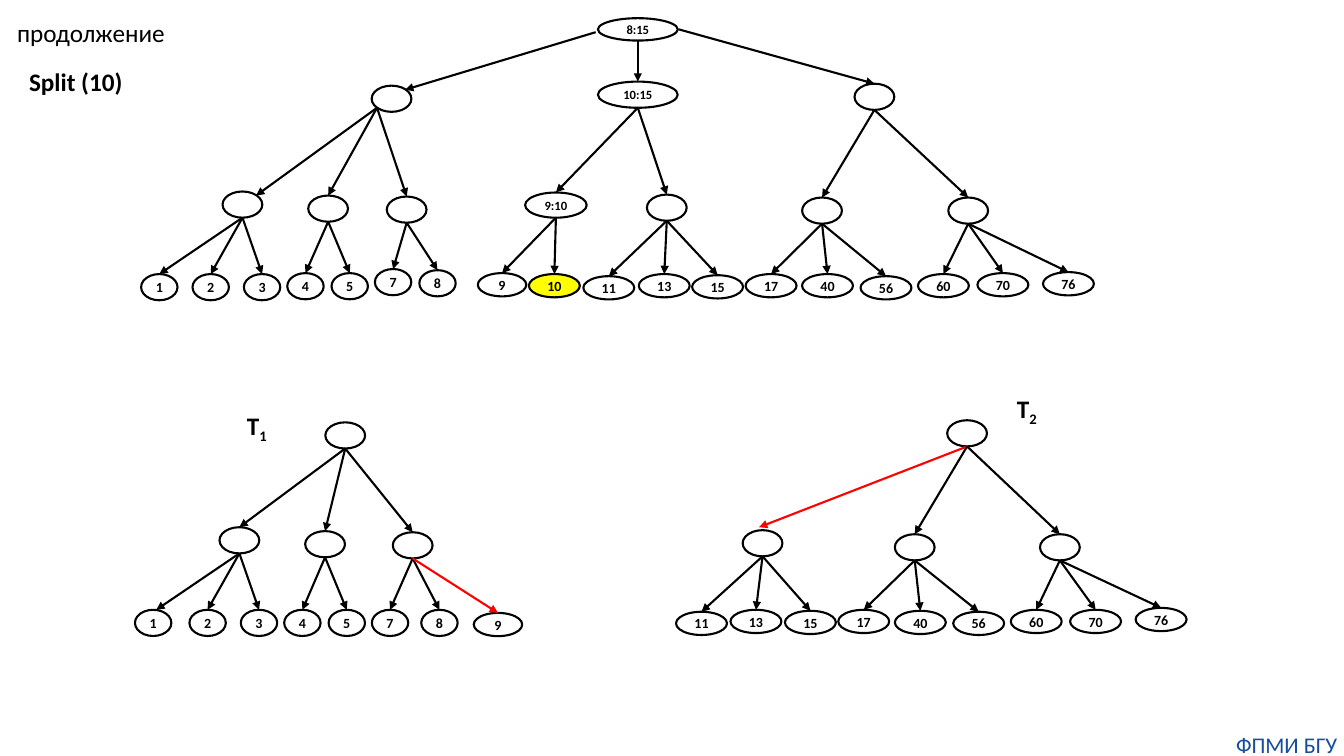
from dataclasses import dataclass

from lxml.etree import SubElement
from pptx import Presentation
from pptx.dml.color import RGBColor
from pptx.enum.shapes import MSO_CONNECTOR, MSO_SHAPE
from pptx.enum.text import MSO_ANCHOR, MSO_AUTO_SIZE, PP_ALIGN
from pptx.oxml.ns import qn
from pptx.util import Pt


@dataclass
class Node:
    style: str
    centre: float
    top: float
    label: str = ""
    children: tuple = ()
    edge: str = "black"
    start: tuple = ()
    end: tuple = ()
    fill: str = ""


COLORS = {"black": "000000", "red": "FF0000", "yellow": "FFFF00", "blue": "144E9D"}
FONT = "Calibri"
STYLES = {
    "root": (57, 16, 9),
    "wide": (57, 18.7, 9),
    "pair": (44, 18, 9),
    "inner": (28.4, 18.7, 9),
    "small": (26, 18.7, 10),
    "nine": (34.6, 16.6, 10),
    "leaf": (36.4, 16.6, 10),
}

TREES = [
    Node("root", 455.6, 13, "8:15", (
        Node("inner", 279.7, 61.2, start=(425.5, 23), end=(289.4, 64.1), children=(
            Node("inner", 173.2, 136.8, start=(269.3, 77), end=(182.9, 139.7), children=(
                Node("small", 113.8, 195.8, "1"),
                Node("small", 150.5, 195.8, "2"),
                Node("small", 187.2, 195.8, "3"))),
            Node("inner", 234.4, 139.7, start=(269.3, 77), children=(
                Node("small", 218.2, 195.1, "4"),
                Node("small", 249.8, 195.1, "5"))),
            Node("inner", 290.5, 140.4, start=(269.3, 77), children=(
                Node("small", 280.8, 192.2, "7"),
                Node("small", 312.5, 193, "8"))))),
        Node("wide", 455.6, 58.3, "10:15", (
            Node("pair", 397.1, 137.5, "9:10", (
                Node("nine", 358.6, 195.1, "9"),
                Node("leaf", 396, 195.8, "10", fill="yellow"))),
            Node("inner", 476.3, 139, children=(
                Node("leaf", 434.9, 197.3, "11"),
                Node("leaf", 474.5, 195.8, "13"),
                Node("leaf", 512.6, 196.6, "15"))))),
        Node("inner", 624.6, 59.8, start=(484.6, 20.9), children=(
            Node("inner", 587.2, 141.1, children=(
                Node("leaf", 550.8, 195.8, "17"),
                Node("leaf", 591.1, 195.8, "40"),
                Node("leaf", 632.9, 197.3, "56"))),
            Node("inner", 691.6, 141.1, children=(
                Node("leaf", 673.9, 195.8, "60"),
                Node("leaf", 716.4, 195.1, "70"),
                Node("leaf", 763.2, 194.4, "76"))))))),
    Node("inner", 246.6, 301.7, children=(
        Node("inner", 171, 376.6, children=(
            Node("small", 109.4, 435.6, "1", end=(111.6, 435.6)),
            Node("small", 148.3, 435.6, "2"),
            Node("small", 185, 435.6, "3"))),
        Node("inner", 232.2, 379.4, children=(
            Node("small", 216, 435.6, "4"),
            Node("small", 247.7, 435.6, "5"))),
        Node("inner", 294.8, 380.2, children=(
            Node("small", 278.6, 435.6, "7"),
            Node("small", 313.9, 435.6, "8"),
            Node("nine", 355.7, 437.8, "9", edge="red"))))),
    Node("inner", 690.8, 300.2, children=(
        Node("inner", 544.7, 378.7, edge="red", end=(542.2, 376.6), children=(
            Node("leaf", 501.1, 437, "11"),
            Node("leaf", 540, 435.6, "13"),
            Node("leaf", 578.9, 436.3, "15"))),
        Node("inner", 653.4, 381.6, children=(
            Node("leaf", 617, 435.6, "17"),
            Node("leaf", 657.4, 436.3, "40"),
            Node("leaf", 699.1, 437, "56"))),
        Node("inner", 757.1, 381.6, children=(
            Node("leaf", 740.2, 435.6, "60"),
            Node("leaf", 782.6, 435.6, "70"),
            Node("leaf", 829.4, 434.2, "76"))))),
]

TITLE = ("продолжение", "", (5, 8.6, 121, 28.8))
CAPTIONS = [
    ("Split (10)", "", (13.7, 43.9, 82, 28.8)),
    ("T", "1", (169.2, 289.4, 29.5, 28.8)),
    ("T", "2", (719.3, 277.2, 33.8, 28.8)),
]
FOOTER = ("ФПМИ БГУ", "", (878.4, 522, 81.4, 19.4))


def color(name):
    return RGBColor.from_string(COLORS[name])


def write(shape, text, size, bold=True, ink="black", subscript="",
          align=PP_ALIGN.LEFT, anchor=MSO_ANCHOR.TOP, inset=(0, 0)):
    frame = shape.text_frame
    horizontal, vertical = map(Pt, inset)
    frame_format = {
        "word_wrap": False, "auto_size": MSO_AUTO_SIZE.NONE, "vertical_anchor": anchor,
        "margin_left": horizontal, "margin_right": horizontal,
        "margin_top": vertical, "margin_bottom": vertical,
    }
    for name, value in frame_format.items():
        setattr(frame, name, value)
    paragraph = frame.paragraphs[0]
    paragraph.alignment = align
    for part in filter(None, (text, subscript)):
        run = paragraph.add_run()
        run.text = part
        for name, value in {"name": FONT, "size": Pt(size), "bold": bold}.items():
            setattr(run.font, name, value)
        run.font.color.rgb = color(ink)
    if subscript:
        run.font._element.set("baseline", "-25000")


def draw_edge(slide, start, end, ink, child=None):
    arrow = slide.shapes.add_connector(MSO_CONNECTOR.STRAIGHT, *map(Pt, start + end))
    if child is not None:
        arrow.end_connect(child, 0)
    arrow.line.color.rgb = color(ink)
    arrow.line.width = Pt(1.5)
    SubElement(arrow.line._get_or_add_ln(), qn("a:tailEnd"), type="triangle")
    SubElement(arrow._element.spPr, qn("a:effectLst"))


def draw_tree(slide, node):
    width, height, size = STYLES[node.style]
    box = (node.centre - width / 2, node.top, width, height)
    oval = slide.shapes.add_shape(MSO_SHAPE.OVAL, *map(Pt, box))
    oval.shadow.inherit = False
    oval.line.color.rgb = color("black")
    oval.line.width = Pt(1.5)
    if node.fill:
        oval.fill.solid()
        oval.fill.fore_color.rgb = color(node.fill)
    else:
        oval.fill.background()
    if node.label:
        write(oval, node.label, size, align=PP_ALIGN.CENTER, anchor=MSO_ANCHOR.MIDDLE)
    for child in node.children:
        child_oval = draw_tree(slide, child)
        start = child.start or (node.centre, node.top + height)
        end = child.end or (child.centre, child.top)
        draw_edge(slide, start, end, child.edge, None if child.end else child_oval)
    return oval


def main():
    presentation = Presentation()
    presentation.slide_width, presentation.slide_height = Pt(960), Pt(540)
    slide = presentation.slides.add_slide(presentation.slide_layouts[5])

    text, subscript, box = TITLE
    title = slide.shapes.title
    for name, value in zip(("left", "top", "width", "height"), box):
        setattr(title, name, Pt(value))
    write(title, text, 18, bold=False, inset=(7.2, 3.6))

    for tree in TREES:
        draw_tree(slide, tree)

    for text, subscript, box in CAPTIONS:
        caption = slide.shapes.add_textbox(*map(Pt, box))
        write(caption, text, 18, subscript=subscript, inset=(7.2, 3.6))

    text, subscript, box = FOOTER
    footer = slide.shapes.add_textbox(*map(Pt, box))
    write(footer, text, 16, bold=False, ink="blue", align=PP_ALIGN.CENTER)

    presentation.save("out.pptx")


if __name__ == "__main__":
    main()
